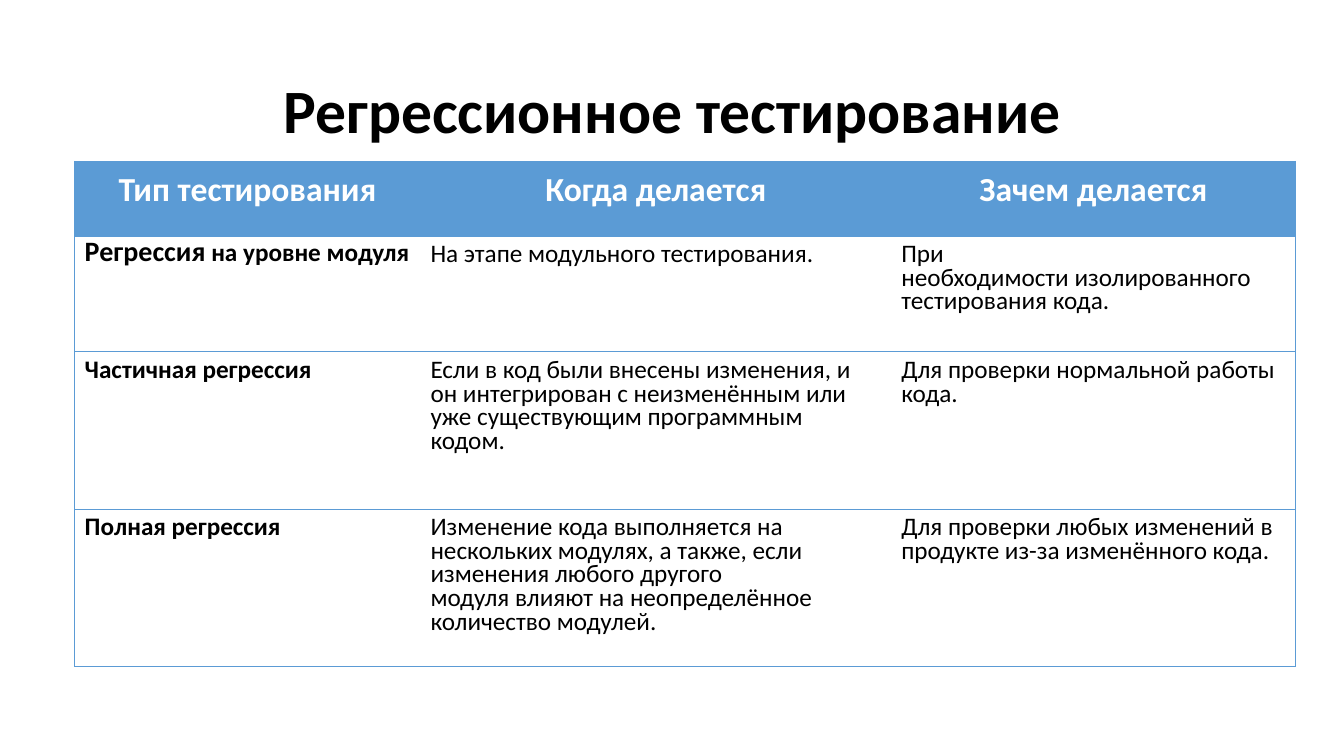
from lxml.etree import SubElement as Sub
from pptx import Presentation
from pptx.dml.color import RGBColor as Rgb
from pptx.enum.text import MSO_ANCHOR as Anchor, PP_ALIGN as Align
from pptx.oxml.ns import qn
from pptx.util import Inches, Pt

COLORS = {"text": "000000", "paper": "FFFFFF", "blue": "5B9BD5"}
FONT = "Calibri"
HEADS = ["Тип тестирования", "Когда делается", "Зачем делается"]
TYPES = [
    [[("Регрессия", 20), (" на уровне модуля", 18)],
     "На этапе модульного тестирования.",
     "При необходимости\u00a0изолированного тестирования кода."],
    ["Частичная регрессия",
     "Если в код были внесены изменения, и он интегрирован с неизменённым "
     "или уже существующим программным кодом.",
     "Для проверки нормальной работы кода."],
    ["Полная регрессия",
     "Изменение кода выполняется на нескольких модулях, а также, если "
     "изменения любого другого модуля\u00a0влияют на неопределённое "
     "количество модулей.",
     "Для проверки любых изменений в продукте из-за изменённого кода."],
]


def put(item, values):
    for name, value in values.items():
        setattr(item, name, value)


class Deck:
    def __init__(self, wide, high):
        self.show = Presentation()
        put(self.show, {"slide_width": Inches(wide), "slide_height": Inches(high)})
        self.slide = self.show.slides.add_slide(self.show.slide_layouts[5])

    def color(self, name):
        return Rgb.from_string(COLORS[name])

    def label(self, frame, runs, tone, bold, form):
        para = frame.paragraphs[0]
        put(para, form)
        for text, size in runs:
            run = para.add_run()
            run.text = text
            put(run.font, {"name": FONT, "size": Pt(size), "bold": bold})
            run.font.color.rgb = self.color(tone)

    def title(self, text, box):
        shape = self.slide.shapes.title
        put(shape, dict(zip(("left", "top", "width", "height"), map(Inches, box))))
        put(shape.text_frame, {"vertical_anchor": Anchor.MIDDLE, "word_wrap": True})
        self.label(shape.text_frame, [(text, 44)], "text", True,
                   {"alignment": Align.CENTER, "line_spacing": 0.9})

    def border(self, cell, sides):
        props = cell._tc.get_or_add_tcPr()
        for side in "LRTB":
            line = Sub(props, qn("a:ln" + side), w=str(Pt(0.5)))
            if side in sides:
                fill = Sub(line, qn("a:solidFill"))
                Sub(fill, qn("a:srgbClr"), val=COLORS["blue"])
            else:
                Sub(line, qn("a:noFill"))

    def cell(self, cell, text, head, first, sides):
        put(cell, {"margin_" + side: Inches(0.1)
                   for side in ("left", "right", "top", "bottom")})
        cell.vertical_anchor = Anchor.MIDDLE if head else Anchor.TOP
        self.border(cell, sides)
        cell.fill.solid()
        cell.fill.fore_color.rgb = self.color("blue" if head else "paper")
        runs = [(text, 24 if head else 18)] if isinstance(text, str) else text
        self.label(cell.text_frame, runs, "paper" if head else "text", head or first,
                   {"alignment": Align.CENTER if head else Align.LEFT,
                    "line_spacing": Pt(16.8), "space_after": Pt(17)})

    def table(self, data, left, top, wides, highs):
        area = map(Inches, (left, top, sum(wides), sum(highs)))
        grid = self.slide.shapes.add_table(len(highs), len(wides), *area).table
        for col, wide in zip(grid.columns, wides):
            col.width = Inches(wide)
        for row, high in zip(grid.rows, highs):
            row.height = Inches(high)
        last = len(wides) - 1
        for r, texts in enumerate(data):
            for c, text in enumerate(texts):
                sides = "TB" + ("L" if c == 0 else "") + ("R" if c == last else "")
                self.cell(grid.cell(r, c), text, r == 0, c == 0, sides)


deck = Deck(13.33, 7.5)
deck.title("Регрессионное тестирование", (0.92, 0.4, 11.5, 1.45))
deck.table([HEADS] + TYPES, 0.74, 1.6, [3.43, 4.67, 4.01], [0.74, 1.15, 1.56, 1.56])
deck.show.save("out.pptx")
